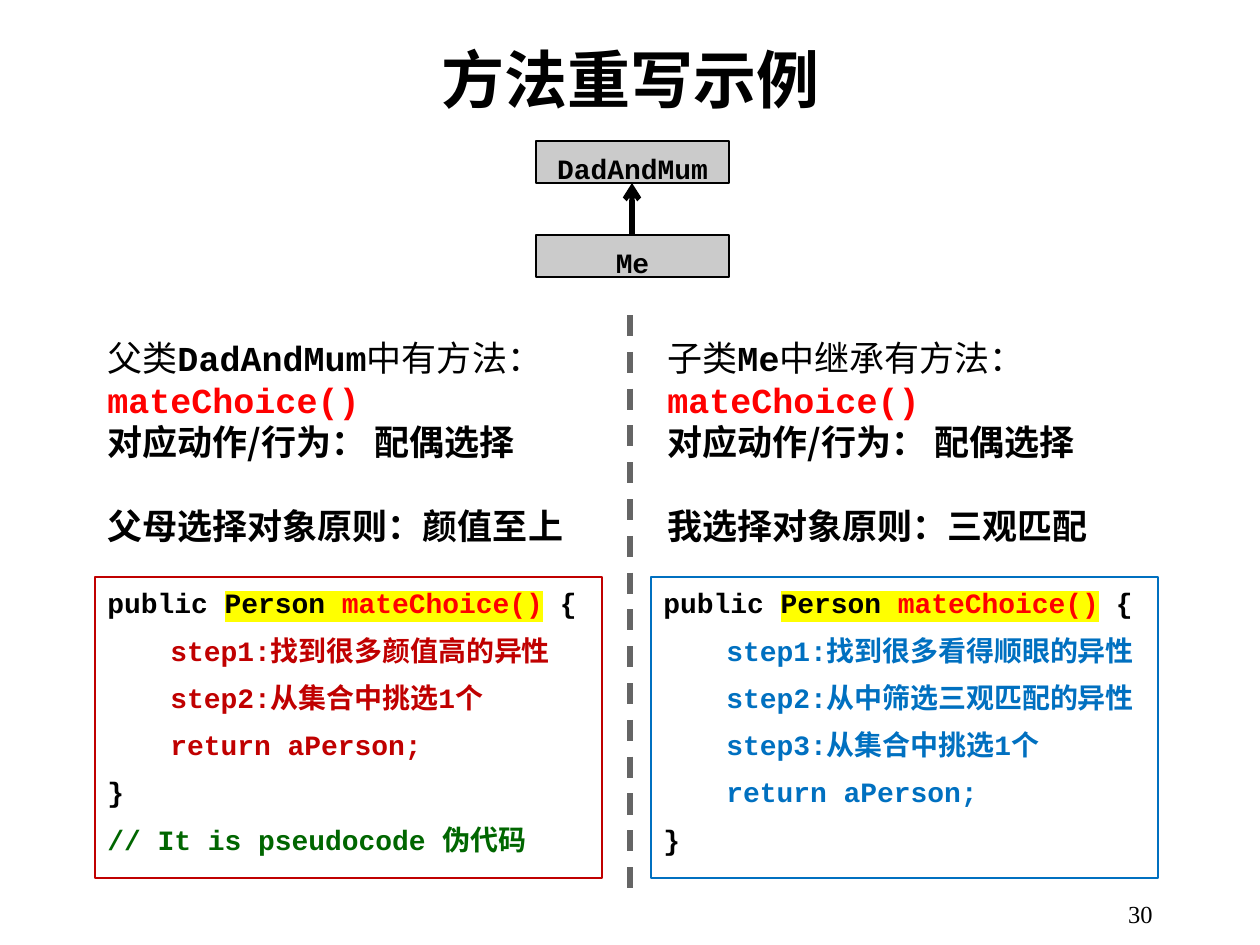
from dataclasses import dataclass
from typing import Optional

from lxml.etree import SubElement
from pptx import Presentation
from pptx.dml.color import RGBColor
from pptx.enum.dml import MSO_LINE
from pptx.enum.shapes import MSO_CONNECTOR as Connector, MSO_SHAPE as Preset
from pptx.enum.text import MSO_ANCHOR as Anchor, PP_ALIGN as Align
from pptx.oxml import parse_xml
from pptx.oxml.ns import qn
from pptx.util import Emu, Pt

DRAWING_NS = "http://schemas.openxmlformats.org/drawingml/2006/main"


@dataclass(frozen=True)
class Theme:
    black: str = "000000"
    red: str = "FF0000"
    parent: str = "C00000"
    child: str = "0070C0"
    comment: str = "006600"
    marker: str = "FFFF00"
    class_fill: str = "CBCBCB"
    divider: str = "656565"
    mono: str = "Courier New"
    sans: str = "Noto Sans CJK SC"
    serif: str = "Times New Roman"
    title: int = 36
    body: int = 20
    code: int = 16
    number: int = 14
    body_pitch: int = 24
    code_pitch: int = 18
    code_gap: int = 9


THEME = Theme()


@dataclass(frozen=True)
class Area:
    left: int
    top: int
    width: int
    height: int


@dataclass(frozen=True)
class Span:
    text: str
    color: str = THEME.black
    bold: bool = True
    font: str = THEME.mono
    marker: Optional[str] = None


@dataclass(frozen=True)
class Line:
    spans: tuple[Span, ...]
    before: int = 0
    indent: int = 0


@dataclass(frozen=True)
class Side:
    note_left: int
    code_left: int
    color: str
    kind: str
    class_name: str
    verb: str
    principle: str
    steps: tuple[str, ...]
    remark: str = ""


SIDES = (
    Side(95, 95, THEME.parent, "父类", "DadAndMum", "中有方法：",
         "父母选择对象原则：颜值至上",
         ("step1:找到很多颜值高的异性", "step2:从集合中挑选1个", "return aPerson;"),
         "// It is pseudocode 伪代码"),
    Side(655, 651, THEME.child, "子类", "Me", "中继承有方法：",
         "我选择对象原则：三观匹配",
         ("step1:找到很多看得顺眼的异性", "step2:从中筛选三观匹配的异性",
          "step3:从集合中挑选1个", "return aPerson;")),
)


def px(count: int) -> Emu:
    return Emu(round(count * 914400 / 126))


def rgb(value: str) -> RGBColor:
    return RGBColor.from_string(value)


def format_run(run, span: Span, size: int) -> None:
    run.font.size = Pt(size)
    run.font.bold = span.bold
    run.font.color.rgb = rgb(span.color)
    run.font.name = span.font
    properties = run.font._element
    properties.find(qn("a:latin")).addnext(
        parse_xml(f'<a:ea xmlns:a="{DRAWING_NS}" typeface="{THEME.sans}"/>'))
    if span.marker:
        properties.find(qn("a:solidFill")).addnext(parse_xml(
            f'<a:highlight xmlns:a="{DRAWING_NS}">'
            f'<a:srgbClr val="{span.marker}"/></a:highlight>'))


def write(shape, lines: list[Line], size: int, align: Align = Align.LEFT,
          anchor: Anchor = Anchor.TOP, pitch: int = 0, top: int = 6) -> None:
    frame = shape.text_frame
    frame.word_wrap = True
    frame.vertical_anchor = anchor
    frame.margin_top = px(top)
    for index, line in enumerate(lines):
        para = frame.add_paragraph() if index else frame.paragraphs[0]
        para.alignment = align
        if pitch:
            para.line_spacing = Pt(pitch)
        if line.before:
            para.space_before = Pt(line.before)
        if line.indent:
            para._p.get_or_add_pPr().set("indent", str(px(line.indent)))
        for span in line.spans:
            run = para.add_run()
            run.text = span.text
            format_run(run, span, size)


def add_text(shapes, area: Area):
    return shapes.add_textbox(px(area.left), px(area.top), px(area.width), px(area.height))


def add_box(shapes, area: Area, outline: str, fill: Optional[str] = None):
    box = shapes.add_shape(Preset.RECTANGLE, px(area.left), px(area.top),
                           px(area.width), px(area.height))
    box.shadow.inherit = False
    box.line.color.rgb = rgb(outline)
    box.line.width = Pt(1)
    if fill:
        box.fill.solid()
        box.fill.fore_color.rgb = rgb(fill)
    else:
        box.fill.background()
    return box


def add_line(shapes, x: int, start: int, end: int, color: str):
    line = shapes.add_connector(Connector.STRAIGHT, px(x), px(start), px(x), px(end))
    line.line.color.rgb = rgb(color)
    line.line.width = Pt(3)
    SubElement(line._element.spPr, qn("a:effectLst"))
    return line


def add_code(shapes, side: Side) -> None:
    gap = THEME.code_gap
    lines = [Line((Span("public "), Span("Person ", marker=THEME.marker),
                   Span("mateChoice()", THEME.red, marker=THEME.marker), Span(" {")))]
    lines += [Line((Span(step, side.color),), gap, 63) for step in side.steps]
    lines.append(Line((Span("}"),), gap))
    if side.remark:
        lines.append(Line((Span(side.remark, THEME.comment),), gap))
    box = add_box(shapes, Area(side.code_left, 577, 507, 301), side.color)
    write(box, lines, THEME.code, pitch=THEME.code_pitch, top=11)


def add_note(shapes, side: Side) -> None:
    lines = [
        Line((Span(side.kind, bold=False), Span(side.class_name), Span(side.verb, bold=False))),
        Line((Span("mateChoice()", THEME.red),)),
        Line((Span("对应动作/行为： 配偶选择", font=THEME.sans),)),
        Line((Span(side.principle, font=THEME.sans),), THEME.body_pitch),
    ]
    box = add_text(shapes, Area(side.note_left, 325, 505, 224))
    write(box, lines, THEME.body, pitch=THEME.body_pitch, top=11)


def add_hierarchy(shapes) -> None:
    group = shapes.add_group_shape().shapes
    for name, top in (("DadAndMum", 141), ("Me", 235)):
        box = add_box(group, Area(536, top, 193, 42), THEME.black, THEME.class_fill)
        write(box, [Line((Span(name),))], THEME.code, Align.CENTER, top=11)
    arrow = add_line(group, 632, 235, 183, THEME.black)
    SubElement(arrow.line._get_or_add_ln(), qn("a:tailEnd"), type="arrow")


def main() -> None:
    deck = Presentation()
    deck.slide_width, deck.slide_height = px(1260), px(945)
    page = deck.slides.add_slide(deck.slide_layouts[6])
    shapes = page.shapes
    write(add_text(shapes, Area(95, 4, 1071, 149)), [Line((Span("方法重写示例"),))],
          THEME.title, Align.CENTER, Anchor.MIDDLE)
    write(add_text(shapes, Area(903, 882, 262, 63)),
          [Line((Span("30", bold=False, font=THEME.serif),))],
          THEME.number, Align.RIGHT, Anchor.MIDDLE)
    for side in SIDES:
        add_code(shapes, side)
        add_note(shapes, side)
    add_line(shapes, 630, 315, 892, THEME.divider).line.dash_style = MSO_LINE.DASH
    add_hierarchy(shapes)
    deck.save("out.pptx")


if __name__ == "__main__":
    main()
